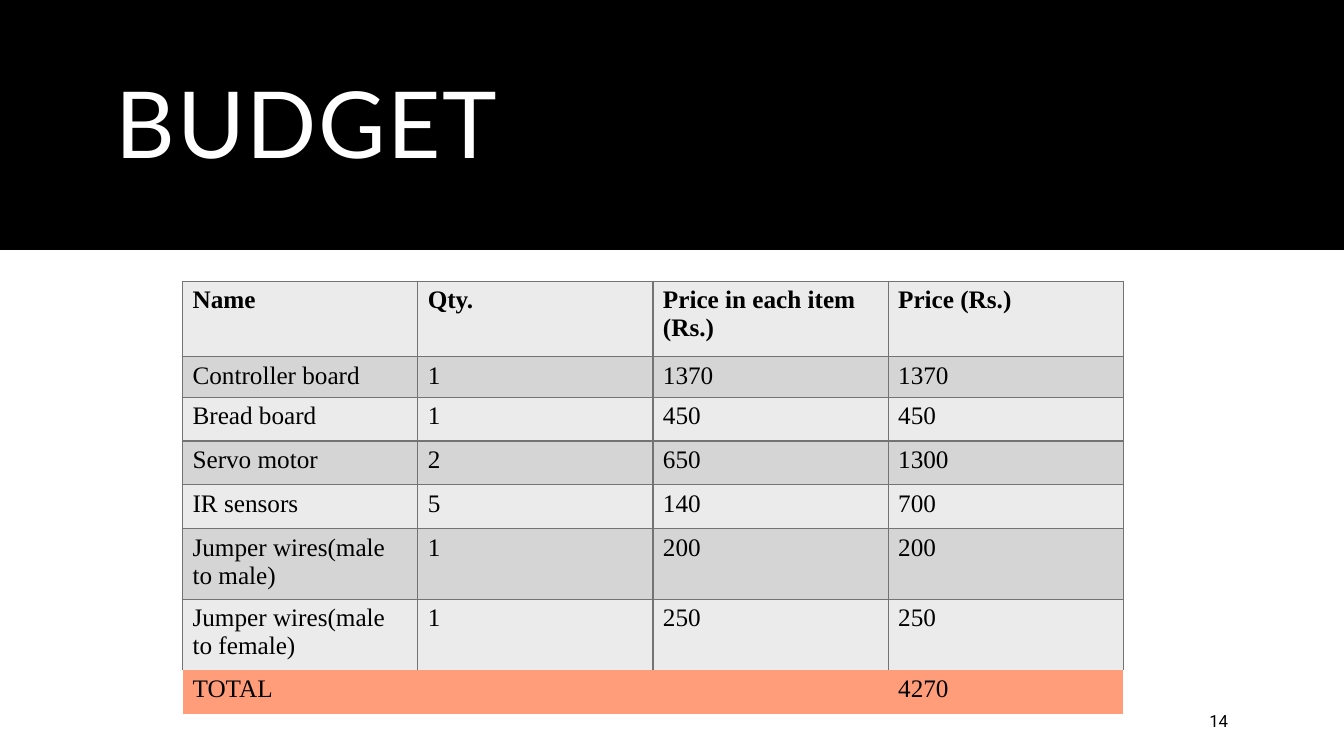
from pptx import Presentation, util as u
from pptx.dml.color import RGBColor
from pptx.enum import shapes, text
from pptx.oxml.ns import qn
from lxml import etree

BLACK = RGBColor(0x00, 0x00, 0x00)
WHITE = RGBColor(0xFF, 0xFF, 0xFF)
LIGHT_ROW = RGBColor(0xEB, 0xEB, 0xEB)
DARK_ROW = RGBColor(0xD5, 0xD5, 0xD5)
TOTAL_ROW = RGBColor(0xFF, 0x9D, 0x7A)
GRID_LINE = RGBColor(0x73, 0x73, 0x73)

BUDGET = [
    ("Name", "Qty.", "Price in each item (Rs.)", "Price (Rs.)"),
    ("Controller board", "1", "1370", "1370"),
    ("Bread board", "1", "450", "450"),
    ("Servo motor", "2", "650", "1300"),
    ("IR sensors", "5", "140", "700"),
    ("Jumper wires(male to male)", "1", "200", "200"),
    ("Jumper wires(male to female)", "1", "250", "250"),
    ("TOTAL", "", "", "4270"),
]
ROW_HEIGHTS = [10, 5.1] + [5.8] * 6


class Page:
    """One slide, with lengths given as percent of its width and height."""

    def __init__(self, deck):
        self.deck = deck
        self.slide = deck.slides.add_slide(deck.slide_layouts[6])

    def across(self, share):
        return round(self.deck.slide_width * share / 100)

    def down(self, share):
        return round(self.deck.slide_height * share / 100)

    def place(self, left, top, width, height):
        return (self.across(left), self.down(top),
                self.across(width), self.down(height))

    def style(self, para, font, size, color, bold=False):
        """Formats the runs, and the paragraph's end mark, which sets line height."""
        for span in para.runs:
            span.font.name = font
            span.font.size = u.Pt(size)
            span.font.color.rgb = color
            span.font.bold = bold
        end = etree.SubElement(para._p, qn("a:endParaRPr"), sz=str(size * 100))
        etree.SubElement(end, qn("a:latin"), typeface=font)

    def band(self, area, color):
        box = self.slide.shapes.add_shape(
            shapes.MSO_SHAPE.RECTANGLE, *self.place(*area))
        box.shadow.inherit = False
        box.fill.solid()
        box.fill.fore_color.rgb = color
        box.line.fill.background()

    def label(self, area, words, font, size, color,
              align=text.PP_ALIGN.LEFT, line_spacing=1.0, tracking=0):
        """Adds a text box; tracking is letter spacing in points."""
        box = self.slide.shapes.add_textbox(*self.place(*area))
        frame = box.text_frame
        frame.word_wrap = True
        frame.vertical_anchor = text.MSO_ANCHOR.MIDDLE
        frame.text = words
        para = frame.paragraphs[0]
        para.alignment = align
        para.line_spacing = line_spacing
        self.style(para, font, size, color)
        if tracking:
            for span in para.runs:
                span.font._element.set("spc", str(round(tracking * 100)))

    def border(self, cell, sides):
        """Draws the named sides (of L, R, T, B) and clears the others."""
        properties = cell._tc.get_or_add_tcPr()
        for side in "LRTB":
            line = etree.SubElement(properties, qn(f"a:ln{side}"), w=str(u.Pt(1)))
            if side in sides:
                fill = etree.SubElement(line, qn("a:solidFill"))
                etree.SubElement(fill, qn("a:srgbClr"), val=str(GRID_LINE))
            else:
                etree.SubElement(line, qn("a:noFill"))

    def budget_table(self, left, top, width, rows, heights):
        frame = self.slide.shapes.add_table(
            len(rows), len(rows[0]), *self.place(left, top, width, sum(heights)))
        table = frame.table
        table.first_row = table.horz_banding = False
        for column in table.columns:
            column.width = self.across(width / len(rows[0]))
        last = len(rows) - 1
        for index, (words, height) in enumerate(zip(rows, heights)):
            table.rows[index].height = self.down(height)
            color = DARK_ROW if index % 2 else LIGHT_ROW
            sides = "LRTB"
            if index == last:
                color, sides = TOTAL_ROW, ""
            elif index == last - 1:
                sides = "LRT"
            for cell, word in zip(table.rows[index].cells, words):
                self.border(cell, sides)
                cell.fill.solid()
                cell.fill.fore_color.rgb = color
                cell.text_frame.text = word
                self.style(cell.text_frame.paragraphs[0], "Times New Roman",
                           18, BLACK, bold=index == 0)


def main():
    deck = Presentation()
    deck.slide_width, deck.slide_height = u.Inches(13.33), u.Inches(7.5)
    page = Page(deck)
    page.band((0, 0, 100, 33.07), BLACK)
    page.label((7.88, 4.67, 84.25, 24.8), "BUDGET", "Lato", 66, WHITE,
               line_spacing=0.9, tracking=1.2)
    page.budget_table(13.58, 37.2, 70, BUDGET, ROW_HEIGHTS)
    page.label((84.47, 92.67, 7.65, 5.33), "14", "Roboto", 12, BLACK,
               align=text.PP_ALIGN.RIGHT)
    deck.save("out.pptx")


if __name__ == "__main__":
    main()
